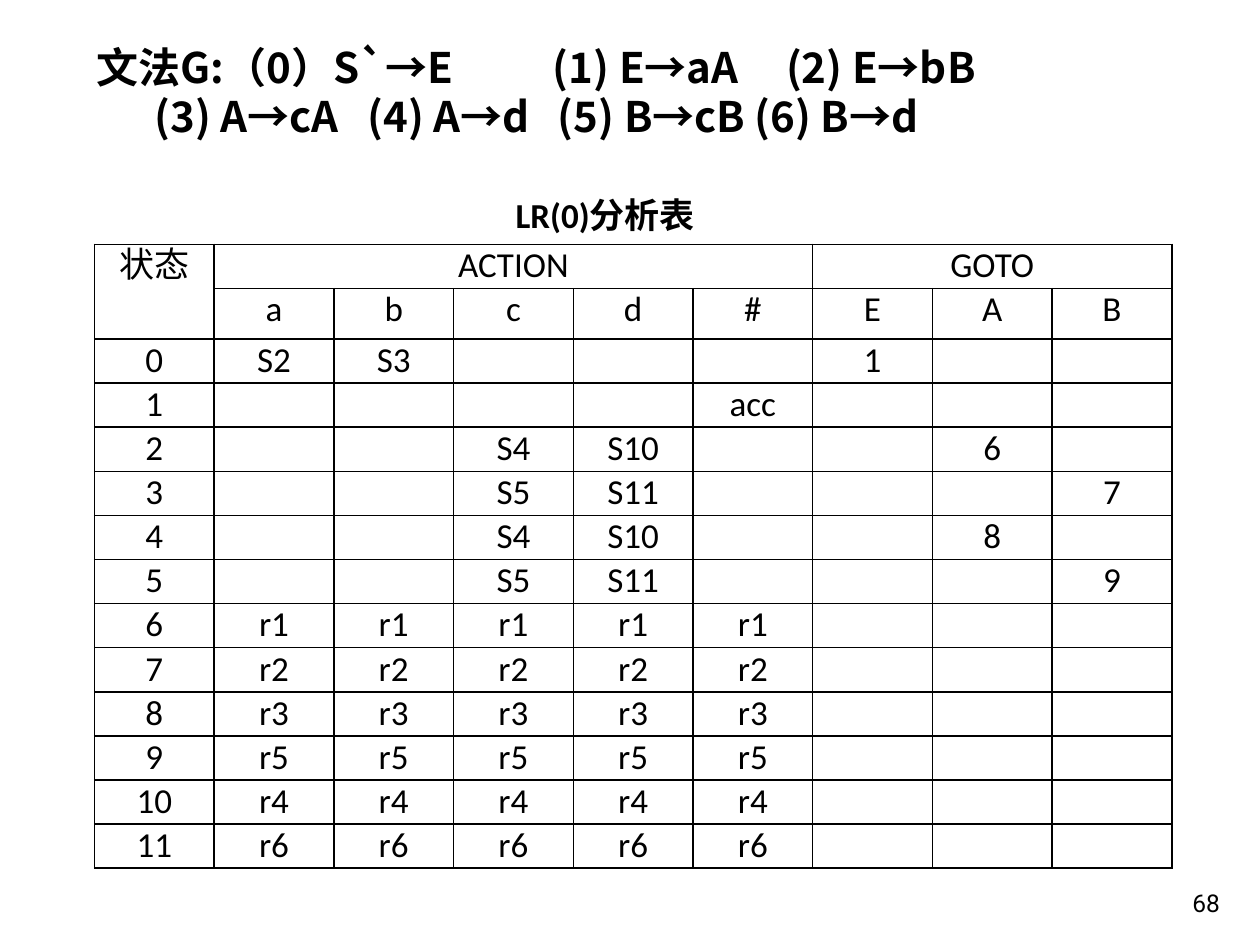
from lxml import etree
from pptx import Presentation
from pptx.dml.color import RGBColor
from pptx.enum import text as t
from pptx.oxml import ns
from pptx.util import Inches, Pt

BLACK = RGBColor(0, 0, 0)
LATIN, HAN, MIX = "Calibri", "Noto Sans CJK JP", "Noto Sans CJK SC"
ALIGN, ANCHOR = t.PP_ALIGN, t.MSO_ANCHOR

HEADS = ["a", "b", "c", "d", "#", "E", "A", "B"]
MOVES = [
    {"a": "S2", "b": "S3", "E": "1"},
    {"#": "acc"},
    {"c": "S4", "d": "S10", "A": "6"},
    {"c": "S5", "d": "S11", "B": "7"},
    {"c": "S4", "d": "S10", "A": "8"},
    {"c": "S5", "d": "S11", "B": "9"},
]
RULES = ["r1", "r2", "r3", "r5", "r4", "r6"]  # states 6 to 11 reduce on any symbol


def write(par, words, font=LATIN, size=20, bold=False, align=None):
    """Add one run to a paragraph, with the font set for all scripts."""
    par.alignment = align
    run = par.add_run()
    run.text = words
    run.font.name, run.font.size, run.font.bold = font, Pt(size), bold
    run.font.color.rgb = BLACK
    etree.SubElement(run._r.get_or_add_rPr(), ns.qn("a:ea"), typeface=font)


def tabs(par, stops):
    """Set left tab stops, in inches from the text edge."""
    items = etree.SubElement(par._p.get_or_add_pPr(), ns.qn("a:tabLst"))
    for stop in stops:
        etree.SubElement(items, ns.qn("a:tab"), pos=str(Inches(stop)), algn="l")


def border(cell):
    props = cell._tc.get_or_add_tcPr()
    for n, side in enumerate(("lnL", "lnR", "lnT", "lnB")):
        line = etree.Element(ns.qn("a:" + side), w=str(Pt(1)))
        fill = etree.SubElement(line, ns.qn("a:solidFill"))
        etree.SubElement(fill, ns.qn("a:srgbClr"), val=str(BLACK))
        props.insert(n, line)


class Page:
    def __init__(self, deck):
        self.slide = deck.slides.add_slide(deck.slide_layouts[6])

    def box(self, x, y, w, h, anchor=ANCHOR.TOP):
        frame = self.slide.shapes.add_textbox(
            Inches(x), Inches(y), Inches(w), Inches(h)).text_frame
        frame.word_wrap = True
        frame.vertical_anchor = anchor
        return frame

    def table(self, x, y, rows, wide, high):
        shape = self.slide.shapes.add_table(
            len(rows), len(rows[0]), Inches(x), Inches(y),
            Inches(wide * len(rows[0])), Inches(high * len(rows)))
        grid = shape.table
        grid.first_row = grid.horz_banding = False
        for col in grid.columns:
            col.width = Inches(wide)
        for r, row in enumerate(rows):
            grid.rows[r].height = Inches(high)
            for c, words in enumerate(row):
                self.cell(grid.cell(r, c), words)
        return grid

    def cell(self, cell, words):
        cell.margin_left = cell.margin_right = Inches(0.07)
        cell.margin_top = cell.margin_bottom = 0
        cell.fill.background()
        border(cell)
        par = cell.text_frame.paragraphs[0]
        if words:
            write(par, words, align=ALIGN.CENTER)
        else:
            par.font.size = Pt(18)


def main():
    deck = Presentation()
    deck.slide_width, deck.slide_height = Inches(10), Inches(7.5)
    page = Page(deck)

    num = page.box(7.7, 6.83, 2.08, 0.5, ANCHOR.BOTTOM)
    write(num.paragraphs[0], "68", font="Roboto", size=14, align=ALIGN.RIGHT)

    rows = [["状态", "ACTION", "", "", "", "", "GOTO", "", ""], [""] + HEADS]
    moves = MOVES + [dict.fromkeys(HEADS[:5], rule) for rule in RULES]
    for state, move in enumerate(moves):
        rows.append([str(state)] + [move.get(head, "") for head in HEADS])
    grid = page.table(0.75, 1.94, rows, 0.95, 0.35)
    grid.rows[1].height = Inches(0.4)
    for first, last in (((0, 0), (1, 0)), ((0, 1), (0, 5)), ((0, 6), (0, 8))):
        grid.cell(*first).merge(grid.cell(*last))

    title = page.box(3.74, 1.48, 2.13, 0.44, ANCHOR.MIDDLE)
    write(title.paragraphs[0], "LR(0)分析表", bold=True, align=ALIGN.CENTER)

    gram = page.box(0.67, 0.36, 8.58, 0.99)
    top, low = gram.paragraphs[0], gram.add_paragraph()
    low.space_before = Pt(4.8)
    top.line_spacing = low.line_spacing = 0.8
    tabs(top, (3.62, 5.47))
    tabs(low, (0.46, 2.15, 3.66))
    write(top, "文法", font=HAN, size=24, bold=True)
    write(top, "G:（0）S`→E\t(1) E→aA\t(2) E→bB", font=MIX, size=24, bold=True)
    write(low, "\t(3) A→cA\t(4) A→d\t(5) B→cB (6) B→d", font=MIX, size=24, bold=True)

    deck.save("out.pptx")


if __name__ == "__main__":
    main()
